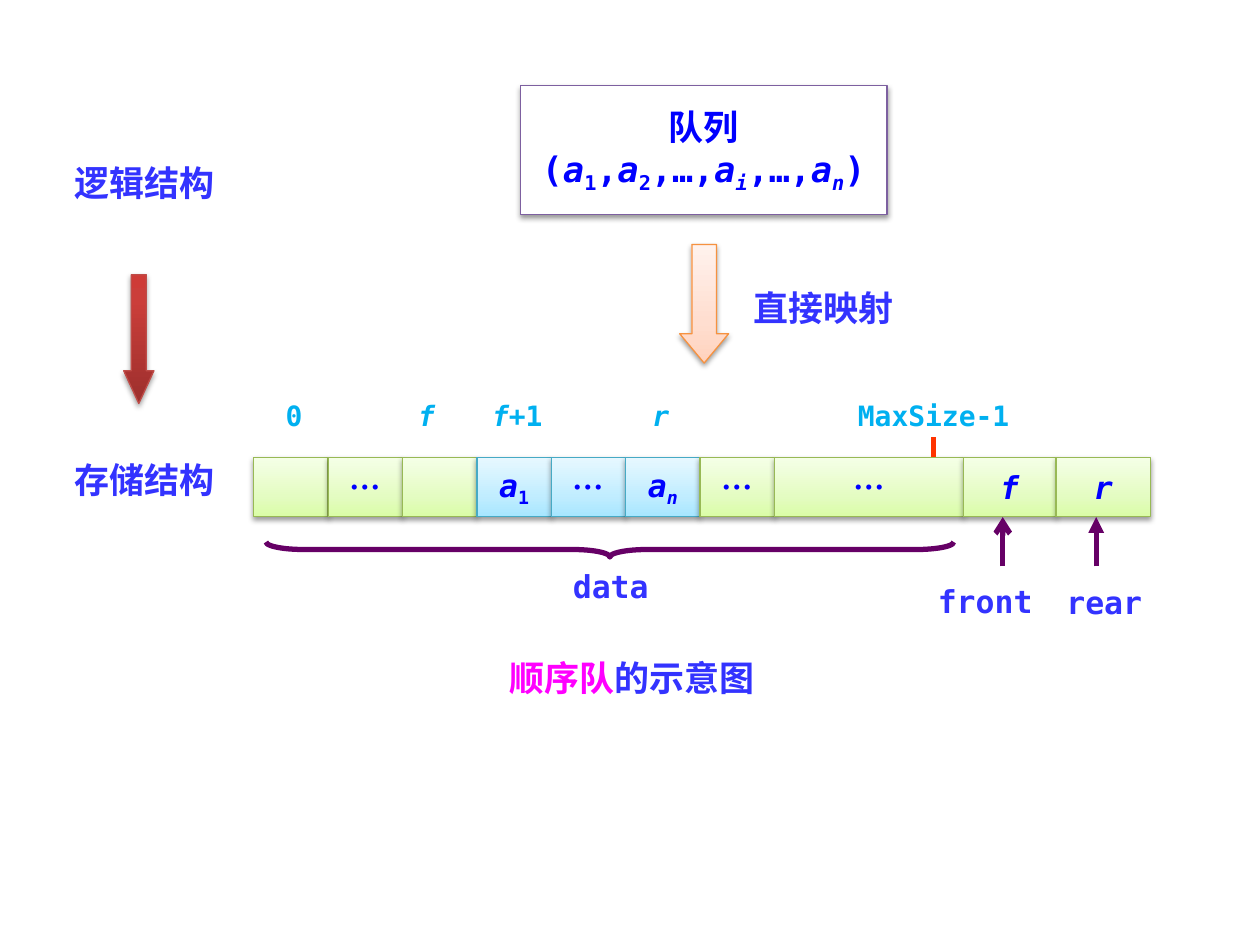
from dataclasses import dataclass
from itertools import accumulate

from lxml import etree
from pptx import Presentation
from pptx.dml.color import RGBColor
from pptx.enum import shapes, text
from pptx.oxml.ns import qn
from pptx.util import Pt


@dataclass(frozen=True)
class Theme:
    mono: str = "DejaVu Sans Mono"
    cjk: str = "Noto Sans CJK SC"
    label: str = "3333FF"
    value: str = "0000FF"
    index: str = "00B0F0"
    accent: str = "FF00FF"
    marker: str = "FF3300"
    pointer: str = "660066"
    large: int = 20
    medium: int = 18
    small: int = 16
    # Each look: gradient stops by percent, and the outline colour
    green: tuple = ({0: "DAFDA7", 35: "E4FCC2", 100: "F5FFE7"}, "98B955")
    blue: tuple = ({0: "A7E6FF", 35: "C1EDFF", 100: "E7F8FF"}, "46AAC5")
    orange: tuple = ({0: "FFD2BD", 35: "FFDED0", 100: "FFF2ED"}, "F69240")
    red: tuple = ({0: "9C2F2D", 80: "CB3E3A", 100: "CE3B37"}, "BF4C48")
    white: tuple = ({0: "FFFFFF", 100: "FFFFFF"}, "7D60A0")


THEME = Theme()


@dataclass(frozen=True)
class Box:
    left: float
    top: float
    width: float
    height: float

    def inner(self, left, top, width, height):
        return Box(self.left + left, self.top + top, width, height)

    def lengths(self):
        return [Pt(n) for n in (self.left, self.top, self.width, self.height)]


def add_xml(parent, tag, **attributes):
    return etree.SubElement(parent, qn(tag), attributes)


def write(frame, lines, size, color, font):
    """Each line is a list of (words, marks): i italic, s subscript, * accent."""
    for number, line in enumerate(lines):
        para = frame.paragraphs[0] if number == 0 else frame.add_paragraph()
        para.alignment = text.PP_ALIGN.CENTER
        for words, marks in line:
            span = para.add_run()
            span.text = words
            formats = {"name": font, "size": Pt(size), "bold": True, "italic": "i" in marks}
            for name, value in formats.items():
                setattr(span.font, name, value)
            shade = THEME.accent if "*" in marks else color
            span.font.color.rgb = RGBColor.from_string(shade)
            properties = span.font._element
            add_xml(properties, "a:ea", typeface=THEME.cjk)
            if "s" in marks:
                properties.set("baseline", "-25000")


def add_label(page, box, line, size, color=THEME.label, font=THEME.cjk):
    frame = page.shapes.add_textbox(*box.lengths()).text_frame
    frame.word_wrap = True
    write(frame, [line], size, color, font)


def add_block(page, kind, box, look, adjustments=()):
    """Gradient shape with a thin outline and a soft shadow below."""
    stops, outline = look
    block = page.shapes.add_shape(kind, *box.lengths())
    for number, value in enumerate(adjustments):
        block.adjustments[number] = value
    block.fill.gradient()
    block.fill.gradient_angle = 90
    properties = block._element.spPr
    stop_list = properties.find(".//" + qn("a:gsLst"))
    stop_list.clear()
    for percent, color in stops.items():
        stop = add_xml(stop_list, "a:gs", pos=str(percent * 1000))
        add_xml(stop, "a:srgbClr", val=color)
    block.line.color.rgb = RGBColor.from_string(outline)
    block.line.width = Pt(0.75)
    effects = add_xml(properties, "a:effectLst")
    shadow = add_xml(effects, "a:outerShdw", blurRad=str(Pt(3.1)), dist=str(Pt(1.6)),
                     dir="5400000", rotWithShape="0")
    add_xml(add_xml(shadow, "a:srgbClr", val="000000"), "a:alpha", val="38000")
    return block


def add_text_block(page, box, look, lines, size, font):
    block = add_block(page, shapes.MSO_SHAPE.RECTANGLE, box, look)
    frame = block.text_frame
    frame.word_wrap = False
    frame.vertical_anchor = text.MSO_ANCHOR.MIDDLE
    write(frame, lines, size, THEME.value, font)


def add_rule(page, box, x, start, end, color, head=None):
    rule = page.shapes.add_connector(
        shapes.MSO_CONNECTOR.STRAIGHT,
        *[Pt(n) for n in (box.left + x, box.top + start, box.left + x, box.top + end)])
    rule.line.color.rgb = RGBColor.from_string(color)
    rule.line.width = Pt(3)
    if head:
        add_xml(rule.line._ln, "a:tailEnd", type=head)
    add_xml(rule._element.spPr, "a:effectLst")


def add_levels(page, box):
    """Left column: logical structure leading down to storage structure."""
    for words, top in (("逻辑结构", 0), ("存储结构", 170)):
        add_label(page, box.inner(0, top, box.width, 31.7), [(words, "")], THEME.large)
    add_block(page, shapes.MSO_SHAPE.DOWN_ARROW, box.inner(56.3, 68.4, 17.3, 73.6),
              THEME.red, (0.5, 1.083))


def add_queue(page, box):
    """Logical queue and the arrow mapping it to storage."""
    members = [("(", "")]
    for name, subscript, after in (("1", "s", ","), ("2", "s", ",…,"),
                                   ("i", "si", ",…,"), ("n", "si", ")")):
        members += [("a", "i"), (name, subscript), (after, "")]
    add_text_block(page, box.inner(0, 0, box.width, 73.5), THEME.white,
                   [[("队列", "")], members], THEME.large, THEME.mono)
    add_block(page, shapes.MSO_SHAPE.DOWN_ARROW, box.inner(91, 90.7, 28, 67.8),
              THEME.orange, (0.5, 0.599))
    add_label(page, box.inner(119, 111, 108, 31.7), [("直接映射", "")], THEME.large)


def add_storage(page, box):
    """Array cells with indices above and field names below."""
    dots = [("…", "")]
    cells = (
        (42.5, THEME.green, []), (42.5, THEME.green, dots), (42.5, THEME.green, []),
        (42.5, THEME.blue, [("a", "i"), ("1", "s")]), (42.5, THEME.blue, dots),
        (42.5, THEME.blue, [("a", "i"), ("n", "si")]), (42.5, THEME.green, dots),
        (108, THEME.green, dots), (53, THEME.green, [("f", "i")]),
        (54, THEME.green, [("r", "i")]))
    lefts = accumulate((cell[0] for cell in cells), initial=0)
    for left, (width, look, line) in zip(lefts, cells):
        font = THEME.cjk if line is dots else THEME.mono
        add_text_block(page, box.inner(left, 37.4, width, 33.8), look, [line],
                       THEME.medium, font)

    # Indices, by centre
    indices = ((23, [("0", "")]), (98.7, [("f", "i")]), (150.6, [("f", "i"), ("+1", "")]),
               (232.6, [("r", "i")]), (388.5, [("MaxSize-1", "")]))
    for center, line in indices:
        add_label(page, box.inner(center - 60, 0, 120, 26.6), line,
                  THEME.small, THEME.index, THEME.mono)
    add_rule(page, box, 388.5, 25.8, 37.4, THEME.marker)

    # Brace under the data cells, turned to lie flat
    span_width, depth, center, middle = 393, 8.6, 203.5, 90
    brace = page.shapes.add_shape(
        shapes.MSO_SHAPE.RIGHT_BRACE,
        *box.inner(center - depth / 2, middle - span_width / 2, depth, span_width).lengths())
    brace.rotation = 90
    brace.adjustments[0] = 2.491
    brace.fill.background()
    brace.line.color.rgb = RGBColor.from_string(THEME.pointer)
    brace.line.width = Pt(3)
    brace.shadow.inherit = False

    # Field names and pointers
    for words, middle, top in (("data", 204, 96.4), ("front", 418, 105), ("rear", 486, 105.8)):
        add_label(page, box.inner(middle - 40, top, 80, 28.8), [(words, "")],
                  THEME.medium, font=THEME.mono)
    for x, head in ((428, "arrow"), (481.4, "triangle")):
        add_rule(page, box, x, 99.7, 71.5, THEME.pointer, head)


def main():
    deck = Presentation()
    deck.slide_width, deck.slide_height = Pt(720), Pt(540)
    page = deck.slides.add_slide(deck.slide_layouts[6])
    add_levels(page, Box(14.4, 88.6, 136, 202))
    add_queue(page, Box(297.4, 49, 209.5, 158.5))
    add_storage(page, Box(145, 224, 512, 135))
    add_label(page, Box(270, 371.5, 182, 31.7), [("顺序队", "*"), ("的示意图", "")], THEME.large)
    deck.save("out.pptx")


if __name__ == "__main__":
    main()
